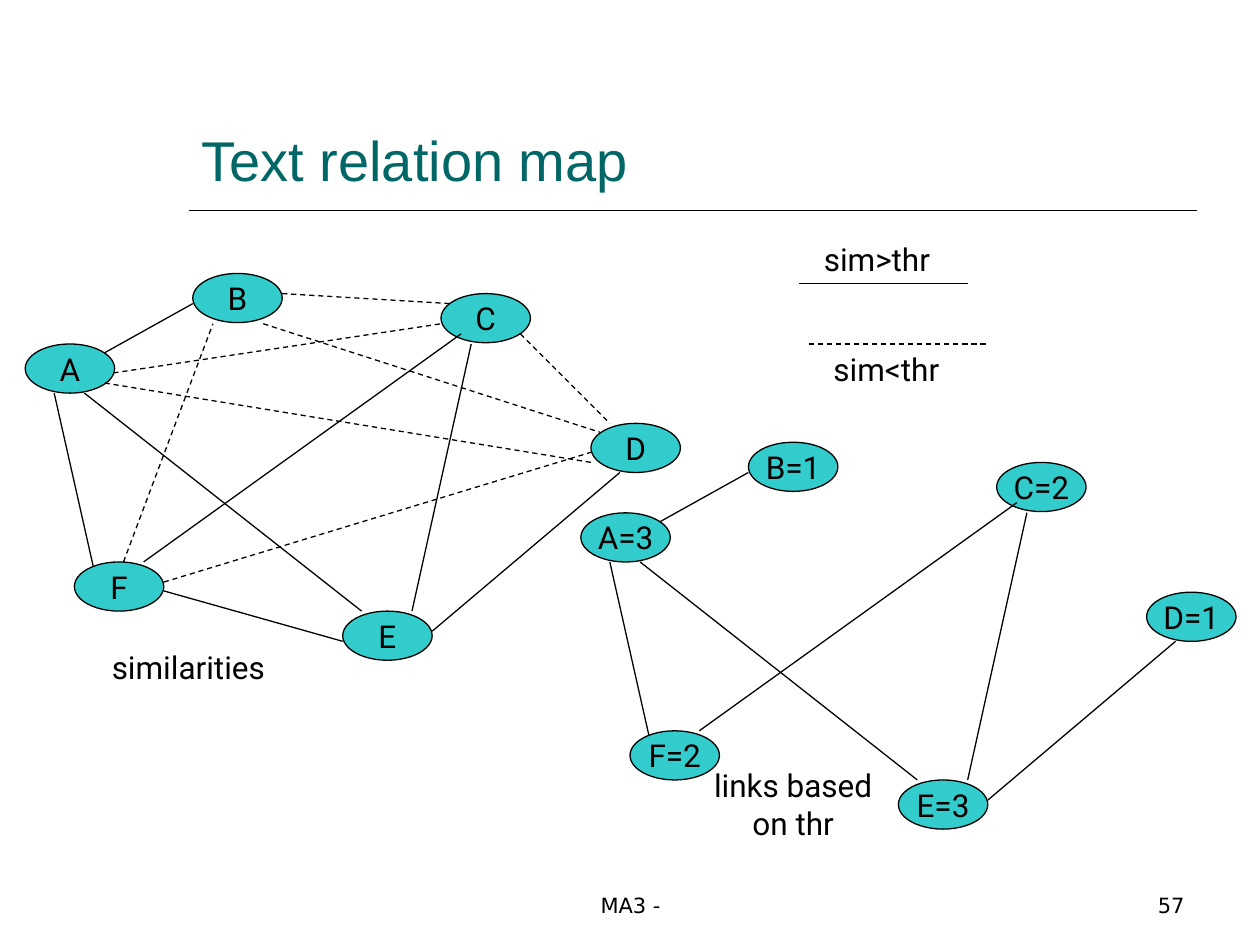
from dataclasses import dataclass

from lxml import etree
from pptx import Presentation
from pptx.dml.color import RGBColor
from pptx.enum.dml import MSO_LINE
from pptx.enum.shapes import MSO_CONNECTOR, MSO_SHAPE
from pptx.enum.text import MSO_ANCHOR, PP_ALIGN
from pptx.oxml.ns import qn
from pptx.util import Inches, Pt

DASH = MSO_LINE.DASH
STRAIGHT = MSO_CONNECTOR.STRAIGHT
ELLIPSE = MSO_SHAPE.OVAL
TOP, MIDDLE, BOTTOM = MSO_ANCHOR.TOP, MSO_ANCHOR.MIDDLE, MSO_ANCHOR.BOTTOM
LEFT, CENTER, RIGHT = PP_ALIGN.LEFT, PP_ALIGN.CENTER, PP_ALIGN.RIGHT


@dataclass(frozen=True)
class Theme:
    """Colours, fonts and sizes of the slide."""

    ink: RGBColor = RGBColor(0x00, 0x00, 0x00)
    title: RGBColor = RGBColor(0x00, 0x66, 0x66)
    node: RGBColor = RGBColor(0x33, 0xCC, 0xCC)
    title_font: str = "Arial"
    body_font: str = "Roboto"
    footer_font: str = "DejaVu Sans"
    title_size: int = 32
    body_size: int = 18
    footer_size: int = 12
    thin: float = 0.75
    rule: float = 1


THEME = Theme()
NODE_WIDTH, NODE_HEIGHT = 0.71, 0.39
LINKS_OFFSET = (4.41, 1.34)

NODES = {
    "A": (0.2, 2.73),
    "B": (1.53, 2.17),
    "C": (3.5, 2.33),
    "D": (4.69, 3.36),
    "E": (2.72, 4.85),
    "F": (0.59, 4.46),
}
LINK_COUNTS = {"A": 3, "B": 1, "C": 2, "D": 1, "E": 3, "F": 2}

LINK_A_F = ((0.43, 3.12), (0.75, 4.54))
STRONG_LINKS = [
    ((1.53, 2.41), (0.83, 2.8)),
    ((0.67, 3.12), (2.87, 4.85)),
    ((3.74, 2.73), (3.27, 4.85)),
    ((3.43, 5.01), (4.92, 3.75)),
    ((1.14, 4.46), (3.66, 2.65)),
]
LINK_F_E = ((1.3, 4.69), (2.72, 5.09))
WEAK_LINKS = [
    ((0.9, 2.96), (3.5, 2.57)),
    ((0.83, 3.04), (4.69, 3.67)),
    ((2.24, 2.33), (3.58, 2.41)),
    ((2.09, 2.57), (4.76, 3.43)),
    ((4.13, 2.65), (4.84, 3.36)),
    ((0.98, 4.46), (1.69, 2.57)),
    ((1.3, 4.62), (4.69, 3.59)),
]


def write_text(shape, text, font=THEME.body_font, size=THEME.body_size,
               color=THEME.ink, align=CENTER, anchor=TOP, wrap=True):
    """Put one formatted paragraph into a shape."""
    frame = shape.text_frame
    frame.word_wrap = wrap
    frame.vertical_anchor = anchor
    paragraph = frame.paragraphs[0]
    paragraph.text = text
    paragraph.alignment = align
    paragraph.font.name = font
    paragraph.font.size = Pt(size)
    paragraph.font.color.rgb = color


def add_title(slide, text):
    """Place and fill the title placeholder."""
    title = slide.shapes.title
    title.left, title.top = Inches(1.5), Inches(0.33)
    title.width, title.height = Inches(8), Inches(1.25)
    write_text(title, text, font=THEME.title_font, size=THEME.title_size,
               color=THEME.title, align=LEFT, anchor=BOTTOM)


def add_label(slide, text, left, top, width, height, **text_format):
    """Add a text box."""
    box = slide.shapes.add_textbox(Inches(left), Inches(top), Inches(width), Inches(height))
    write_text(box, text, **text_format)


def add_line(slide, start, end, offset=(0, 0), dash=None, weight=THEME.thin):
    """Add a straight line, moved by the offset."""
    ends = [Inches(point[axis] + offset[axis]) for point in (start, end) for axis in (0, 1)]
    line = slide.shapes.add_connector(STRAIGHT, *ends)
    line.line.color.rgb = THEME.ink
    line.line.width = Pt(weight)
    if dash:
        line.line.dash_style = dash
    etree.SubElement(line._element.spPr, qn("a:effectLst"))


def add_node(slide, text, position, offset):
    """Add a labelled ellipse, moved by the offset."""
    left, top = (Inches(value + shift) for value, shift in zip(position, offset))
    node = slide.shapes.add_shape(ELLIPSE, left, top, Inches(NODE_WIDTH), Inches(NODE_HEIGHT))
    node.shadow.inherit = False
    node.fill.solid()
    node.fill.fore_color.rgb = THEME.node
    node.line.color.rgb = THEME.ink
    node.line.width = Pt(THEME.thin)
    write_text(node, text, anchor=MIDDLE, wrap=False)


def add_map(slide, labels, offset=(0, 0)):
    """Add the nodes and the strong links between them."""
    add_line(slide, *LINK_A_F, offset=offset)
    for name, position in NODES.items():
        add_node(slide, labels[name], position, offset)
    for start, end in STRONG_LINKS:
        add_line(slide, start, end, offset=offset)


def add_legend(slide):
    """Explain the solid and the dashed lines."""
    add_line(slide, (6.34, 2.25), (7.68, 2.25))
    add_label(slide, "sim>thr", 6.1, 1.86, 1.72, 0.4)
    add_line(slide, (6.42, 2.73), (7.84, 2.73), dash=DASH)
    add_label(slide, "sim<thr", 6.48, 2.73, 1.11, 0.4, wrap=False)


def add_footer(slide):
    """Add the footer text and the slide number."""
    footer = {"font": THEME.footer_font, "size": THEME.footer_size, "anchor": BOTTOM}
    add_label(slide, "MA3 -", 3.42, 6.83, 3.17, 0.5, **footer)
    add_label(slide, "57", 7.17, 6.83, 2.33, 0.5, align=RIGHT, **footer)


def main():
    """Build and save the slide."""
    presentation = Presentation()
    presentation.slide_width, presentation.slide_height = Inches(10), Inches(7.5)
    slide = presentation.slides.add_slide(presentation.slide_layouts[5])

    add_title(slide, "Text relation map")
    add_line(slide, (1.5, 1.67), (9.5, 1.67), weight=THEME.rule)

    add_map(slide, {name: name for name in NODES})
    add_line(slide, *LINK_F_E)
    for start, end in WEAK_LINKS:
        add_line(slide, start, end, dash=DASH)
    add_label(slide, "similarities", 0.75, 5.09, 1.49, 0.4)

    counted = {name: f"{name}={count}" for name, count in LINK_COUNTS.items()}
    add_map(slide, counted, offset=LINKS_OFFSET)
    add_label(slide, "links based on thr", 5.55, 6.03, 1.49, 1)

    add_legend(slide)
    add_footer(slide)
    presentation.save("out.pptx")


if __name__ == "__main__":
    main()
